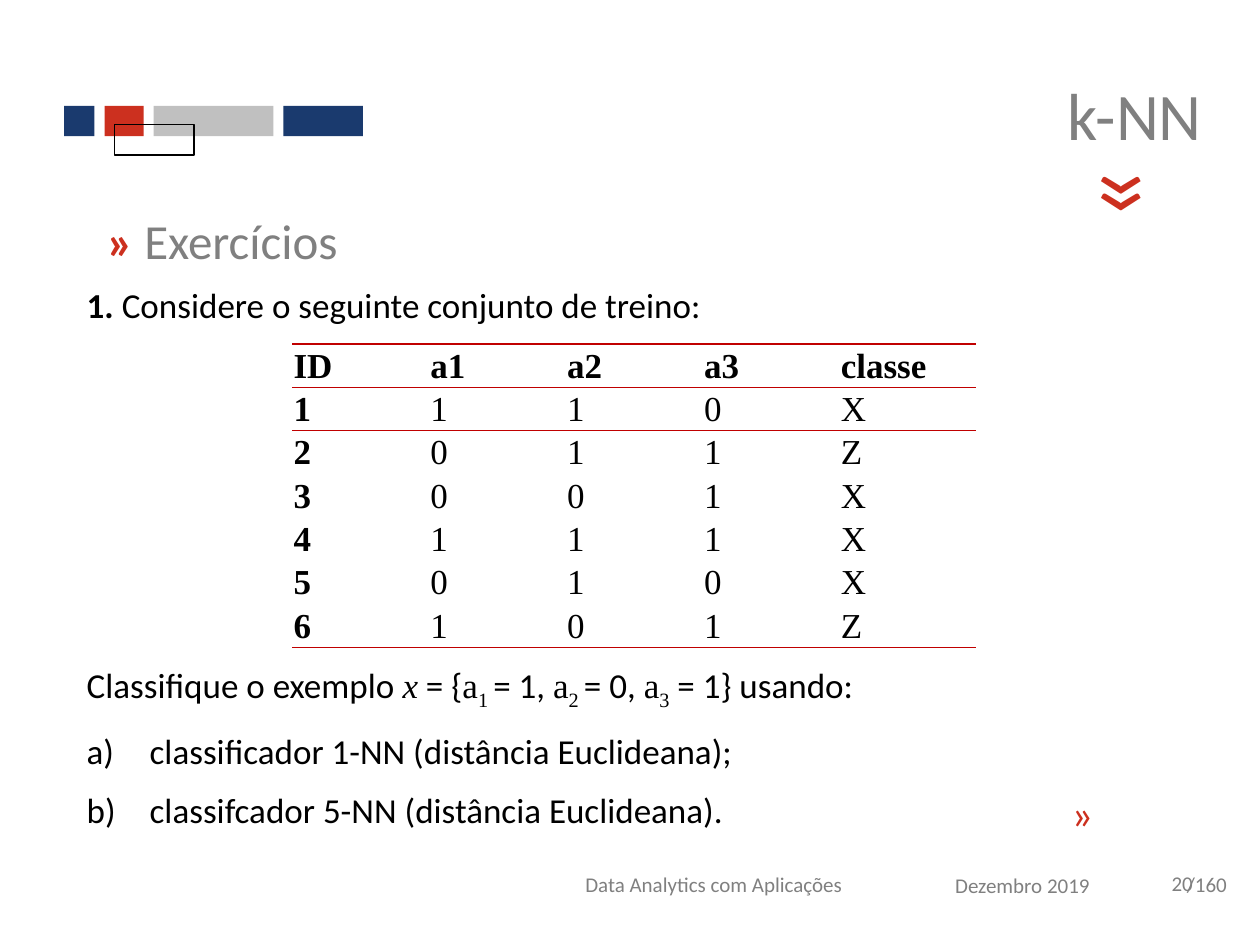
import pptx
import pptx.util
import pptx.dml.color
import pptx.enum.shapes
import pptx.enum.text
import pptx.oxml
import pptx.oxml.ns

Inches, Pt = pptx.util.Inches, pptx.util.Pt
ALIGN, ANCHOR = pptx.enum.text.PP_ALIGN, pptx.enum.text.MSO_ANCHOR
SANS, SERIF = "Calibri", "Times New Roman"
COLORS = {"blue": "1A3A6E", "red": "CC301F", "silver": "C0C0C0",
          "gray": "808080", "black": "000000", "rule": "C00000"}

TITLE = "k-NN"
HEADING = [("» ", {"color": "red", "bold": True}), ("Exercícios", {"color": "gray"})]
QUESTION = [("1. ", {"bold": True}), ("Considere o seguinte conjunto de treino:", {})]
TRAINING_SET = [
    ("ID", "a1", "a2", "a3", "classe"),
    ("1", "1", "1", "0", "X"),
    ("2", "0", "1", "1", "Z"),
    ("3", "0", "0", "1", "X"),
    ("4", "1", "1", "1", "X"),
    ("5", "0", "1", "0", "X"),
    ("6", "1", "0", "1", "Z"),
]
VARIABLE, INDEX = {"font": SERIF}, {"font": SERIF, "subscript": True}
TASK = [
    ("Classifique o exemplo ", {}), ("x", {"font": SERIF, "italic": True}), (" = {", {}),
    ("a", VARIABLE), ("1 ", INDEX), ("= 1, ", {}),
    ("a", VARIABLE), ("2 ", INDEX), ("= 0, ", {}),
    ("a", VARIABLE), ("3", INDEX), (" = 1} usando:", {}),
]
OPTIONS = ["classificador 1-NN (distância Euclideana);",
           "classifcador 5-NN (distância Euclideana)."]
# text, (left, top, width, height), left margin, alignment
FOOTER = [
    ("/160", (9.06, 6.74, 0.94, 0.55), 0.36, ALIGN.LEFT),
    ("Data Analytics com Aplicações", (4.13, 6.74, 3.07, 0.55), 0.1, ALIGN.CENTER),
    ("Dezembro 2019", (7.2, 6.75, 1.83, 0.55), 0.1, ALIGN.CENTER),
    ("20", (9.2, 6.86, 0.44, 0.3), 0.1, ALIGN.LEFT),
]
# (left, top, width, height), size, rotation
CHEVRONS = [((8.27, 6.3, 0.51, 0.5), 24, 180), ((8.5, 1.03, 0.55, 1.1), 60, 270)]
BARS = [("blue", 0.24), ("red", 0.31), ("silver", 0.95), ("blue", 0.63)]
BAR_LEFT, BAR_TOP, BAR_HEIGHT, BAR_GAP = 0.51, 0.84, 0.24, 0.08


def rgb(name):
    return pptx.dml.color.RGBColor.from_string(COLORS[name])


def add_span(para, text, size=20, font=SANS, color="black", bold=False,
             italic=False, subscript=False):
    span = para.add_run()
    span.text = text
    span.font.size, span.font.name = Pt(size), font
    span.font.bold, span.font.italic = bold, italic
    span.font.color.rgb = rgb(color)
    if subscript:
        span.font._element.set("baseline", "-25000")


def add_text(slide, bounds, spans, align=ALIGN.LEFT, anchor=ANCHOR.TOP,
             margin_left=0.1, wrap=True, rotation=0, **style):
    """Add a text box holding one paragraph; style applies to every span."""
    box = slide.shapes.add_textbox(*map(Inches, bounds))
    box.rotation = rotation
    frame = box.text_frame
    frame.word_wrap, frame.vertical_anchor = wrap, anchor
    frame.margin_left = Inches(margin_left)
    para = frame.paragraphs[0]
    para.alignment = align
    for text, span_style in spans:
        add_span(para, text, **{**style, **span_style})
    return box


def add_bar(slide, left, top, width, fill=None):
    bar = slide.shapes.add_shape(pptx.enum.shapes.MSO_SHAPE.RECTANGLE, Inches(left),
                                 Inches(top), Inches(width), Inches(BAR_HEIGHT))
    bar.shadow.inherit = False
    if fill:
        bar.fill.solid()
        bar.fill.fore_color.rgb = rgb(fill)
        bar.line.fill.background()
    else:
        bar.fill.background()
        bar.line.color.rgb = rgb("black")
        bar.line.width = Pt(0.75)


def add_option(frame, text):
    """Add a lettered paragraph with a hanging indent."""
    para = frame.add_paragraph()
    properties = para._p.get_or_add_pPr()
    properties.set("marL", str(Inches(0.5)))
    properties.set("indent", str(-Inches(0.5)))
    number = pptx.oxml.parse_xml(
        f'<a:buAutoNum {pptx.oxml.ns.nsdecls("a")} type="alphaLcParenR"/>')
    properties.append(number)
    para.space_before = Pt(10)
    add_span(para, text)


def border_cell(cell, sides):
    """Draw a rule on the named sides; lines must precede the fill in the XML."""
    properties = cell._tc.get_or_add_tcPr()
    for position, side in enumerate(sides):
        line = pptx.oxml.parse_xml(
            f'<a:{side} {pptx.oxml.ns.nsdecls("a")} w="{Pt(1)}"><a:solidFill>'
            f'<a:srgbClr val="{COLORS["rule"]}"/></a:solidFill></a:{side}>')
        properties.insert(position, line)


def add_training_table(slide):
    rows, columns = len(TRAINING_SET), len(TRAINING_SET[0])
    table = slide.shapes.add_table(rows, columns, Inches(2.32), Inches(2.73),
                                   Inches(5.43), Inches(2.41)).table
    table.first_row = table.horz_banding = False
    style = table._tbl.tblPr.find(pptx.oxml.ns.qn("a:tableStyleId"))
    style.text = "{2D5ABB26-0587-4C30-8999-92F81FD0307C}"
    borders = {0: ["lnT", "lnB"], 1: ["lnT"], rows - 1: ["lnB"]}
    for row, values in enumerate(TRAINING_SET):
        for column, value in enumerate(values):
            cell = table.cell(row, column)
            cell.fill.background()
            cell.vertical_anchor = ANCHOR.MIDDLE
            cell.margin_left = cell.margin_right = cell.margin_top = Inches(0.01)
            cell.margin_bottom = 0
            add_span(cell.text_frame.paragraphs[0], value, font=SERIF,
                     bold=row == 0 or column == 0)
            border_cell(cell, borders.get(row, []))


def main():
    deck = pptx.Presentation()
    deck.slide_width, deck.slide_height = Inches(10), Inches(7.5)
    slide = deck.slides.add_slide(deck.slide_layouts[5])

    left = BAR_LEFT
    for color, width in BARS:
        add_bar(slide, left, BAR_TOP, width, color)
        left += width + BAR_GAP
    add_bar(slide, 0.91, 0.99, 0.63)

    title = slide.shapes.title
    title.left, title.top = Inches(3.03), Inches(0.44)
    title.width, title.height = Inches(6.61), Inches(0.93)
    title.text_frame.vertical_anchor = ANCHOR.MIDDLE
    title_para = title.text_frame.paragraphs[0]
    title_para.alignment = ALIGN.RIGHT
    add_span(title_para, TITLE, size=38, color="gray")

    for text, bounds, margin, align in FOOTER:
        add_text(slide, bounds, [(text, {})], align=align, anchor=ANCHOR.MIDDLE,
                 margin_left=margin, size=12, color="gray")
    for bounds, size, rotation in CHEVRONS:
        add_text(slide, bounds, [("«", {})], wrap=False, rotation=rotation,
                 size=size, color="red")

    add_text(slide, (0.75, 1.62, 8.43, 0.57), HEADING, size=28)
    add_text(slide, (0.59, 2.2, 8.9, 0.44), QUESTION)
    add_training_table(slide)
    task_box = add_text(slide, (0.59, 5.22, 8.9, 1.45), TASK)
    for option in OPTIONS:
        add_option(task_box.text_frame, option)

    deck.save("out.pptx")


if __name__ == "__main__":
    main()
